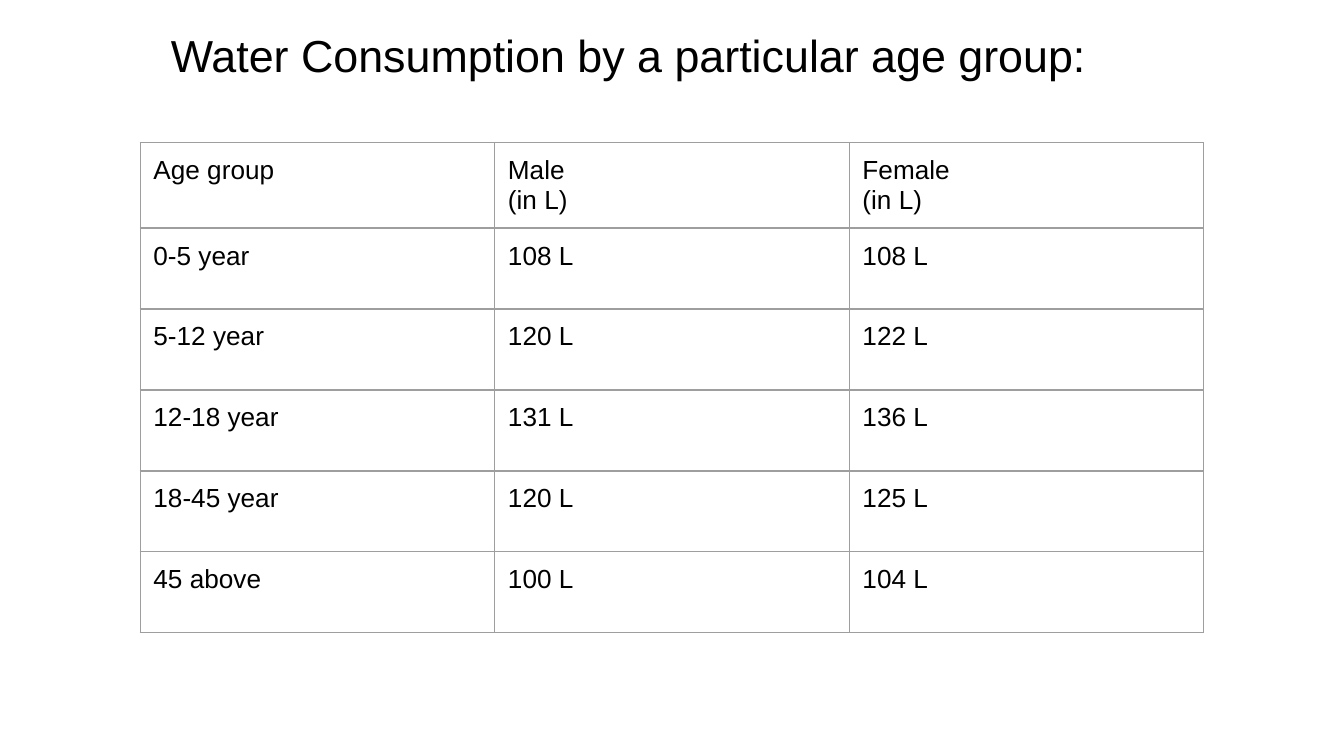
from dataclasses import dataclass

from lxml.etree import SubElement
from pptx import Presentation
from pptx.dml.color import RGBColor as RGB
from pptx.oxml.ns import qn
from pptx.util import Cm, Pt


@dataclass(frozen=True)
class Theme:
    font: str = "Arial"
    ink: str = "000000"
    rule: str = "9E9E9E"
    title: int = 24
    body: int = 14


theme = Theme()


def style(frame, size):
    """Format every run in the frame."""
    for para in frame.paragraphs:
        for run in para.runs:
            run.font.name = theme.font
            run.font.size = Pt(size)
            run.font.color.rgb = RGB.from_string(theme.ink)


def border(cell):
    """Draw a thin line on all four sides of the cell."""
    props = cell._tc.get_or_add_tcPr()
    for side in ("lnL", "lnR", "lnT", "lnB"):
        line = SubElement(props, qn(f"a:{side}"), w=str(Pt(0.75)))
        fill = SubElement(line, qn("a:solidFill"))
        SubElement(fill, qn("a:srgbClr"), val=theme.rule)


deck = Presentation()
deck.slide_width, deck.slide_height = Cm(25.4), Cm(14.29)
slide = deck.slides.add_slide(deck.slide_layouts[6])
pad = Cm(0.25)

# Table
rows = [
    ("Age group", "Male\n(in L)", "Female\n(in L)"),
    ("0-5 year", "108 L", "108 L"),
    ("5-12 year", "120 L", "122 L"),
    ("12-18 year", "131 L", "136 L"),
    ("18-45 year", "120 L", "125 L"),
    ("45 above", "100 L", "104 L"),
]
wide, high = Cm(6.7), Cm(1.53)
count = len(rows[0])
table = slide.shapes.add_table(
    len(rows), count, Cm(2.65), Cm(2.7), wide * count, high * len(rows)
).table
table.first_row = table.horz_banding = False
for col in table.columns:
    col.width = wide
for r, row in enumerate(rows):
    table.rows[r].height = high
    for c, text in enumerate(row):
        cell = table.cell(r, c)
        cell.text_frame.text = text
        style(cell.text_frame, theme.body)
        cell.margin_left = cell.margin_right = pad
        cell.margin_top = cell.margin_bottom = pad
        border(cell)
        cell.fill.background()

# Title
title = slide.shapes.add_textbox(Cm(2.98), Cm(0.28), Cm(18.14), Cm(2.13))
frame = title.text_frame
frame.word_wrap = True
frame.margin_left = frame.margin_right = pad
frame.margin_top = frame.margin_bottom = pad
frame.text = "Water Consumption by a particular age group:"
style(frame, theme.title)

deck.save("out.pptx")
